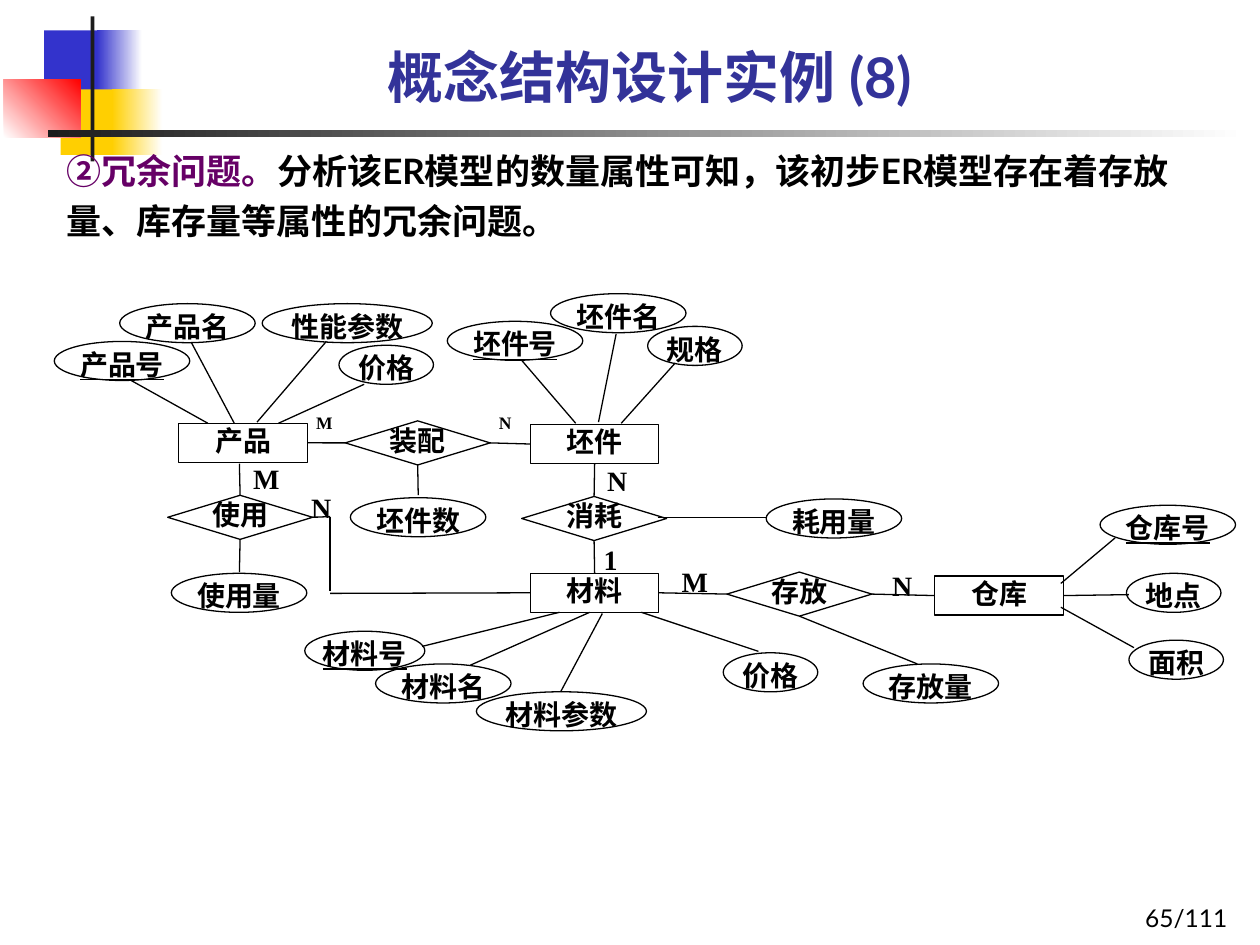
import dataclasses
import typing

import pptx
import pptx.dml.color
import pptx.enum.shapes
import pptx.enum.text
import pptx.oxml
import pptx.util

Pt = pptx.util.Pt
Kind = pptx.enum.shapes.MSO_SHAPE
Align = pptx.enum.text.PP_ALIGN
Anchor = pptx.enum.text.MSO_ANCHOR
TOP, LEFT, BOTTOM, RIGHT = range(4)


# Colours and type sizes
@dataclasses.dataclass(frozen=True)
class Theme:
    ink: str = "000000"
    paper: str = "FFFFFF"
    title: str = "333399"
    accent: str = "660066"
    blue: str = "3333CC"
    gold: str = "FFCF01"
    red: str = "FF0000"
    dark: str = "1C1C1C"
    sans: str = "Lato"
    serif: str = "Times New Roman"
    head: int = 32
    body: int = 20
    node: int = 16
    page: int = 14
    small: int = 10
    line: float = 0.75


THEME = Theme()


class Box(typing.NamedTuple):
    x: float
    y: float
    w: float
    h: float


class Run(typing.NamedTuple):
    text: str
    size: int
    face: str = THEME.serif
    color: str = THEME.ink
    bold: bool = True
    under: typing.Optional[bool] = None


class Bar(typing.NamedTuple):
    box: Box
    start: str
    stop: typing.Optional[str] = None
    angle: int = 0


class Node(typing.NamedTuple):
    text: str
    x: float
    y: float
    key: bool = False
    width: float = 0


class Style(typing.NamedTuple):
    kind: typing.Any
    height: float
    filled: bool
    para: dict


class Label(typing.NamedTuple):
    text: str
    x: float
    y: float
    small: bool = False


class Link(typing.NamedTuple):
    # Each end is a point, or a node name with the side it joins
    start: tuple
    stop: tuple


def tint(value: str):
    return pptx.dml.color.RGBColor.from_string(value)


def apply(target, values: dict) -> None:
    for name, value in values.items():
        setattr(target, name, value)


def write(shape, runs: list, para: dict, frame: dict) -> None:
    text = shape.text_frame
    apply(text, {"word_wrap": True, **frame})
    block = text.paragraphs[0]
    apply(block, para)
    for item in runs:
        run = block.add_run()
        run.text = item.text
        apply(run.font, {"size": Pt(item.size), "name": item.face,
                         "bold": item.bold, "underline": item.under})
        run.font.color.rgb = tint(item.color)


def place(shapes, kind, box: Box):
    shape = shapes.add_shape(kind, *map(Pt, box))
    shape.shadow.inherit = False
    return shape


def draw_text(shapes, box: Box, runs: list, para: dict, frame: dict) -> None:
    write(shapes.add_textbox(*map(Pt, box)), runs, para, frame)


def draw_bar(shapes, bar: Bar) -> None:
    shape = place(shapes, Kind.RECTANGLE, bar.box)
    shape.line.fill.background()
    if bar.stop is None:
        shape.fill.solid()
        shape.fill.fore_color.rgb = tint(bar.start)
        return
    shape.fill.gradient()
    shape.fill.gradient_angle = bar.angle
    for stop, color in zip(shape.fill.gradient_stops, (bar.start, bar.stop)):
        stop.color.rgb = tint(color)


def draw_node(shapes, node: Node, style: Style, width: float):
    shape = place(shapes, style.kind, Box(node.x, node.y, width, style.height))
    if style.filled:
        shape.fill.solid()
        shape.fill.fore_color.rgb = tint(THEME.paper)
    else:
        shape.fill.background()
    shape.line.color.rgb = tint(THEME.ink)
    shape.line.width = Pt(THEME.line)
    run = Run(node.text, THEME.node, under=node.key or None)
    write(shape, [run], {"alignment": Align.CENTER, **style.para}, FLUSH)
    return shape


def draw_link(shapes, link: Link, nodes: dict) -> None:
    ends = [(0, 0) if isinstance(end[0], str) else end for end in link]
    line = shapes.add_connector(pptx.enum.shapes.MSO_CONNECTOR.STRAIGHT,
                                *(Pt(v) for end in ends for v in end))
    for end, join in zip(link, (line.begin_connect, line.end_connect)):
        if isinstance(end[0], str):
            join(nodes[end[0]], end[1])
    line.line.color.rgb = tint(THEME.ink)
    line.line.width = Pt(THEME.line)
    props = line._element.spPr
    props.append(pptx.oxml.parse_xml(
        '<a:effectLst xmlns:a="http://schemas.openxmlformats.org/drawingml/2006/main"/>'))


FLUSH = {"margin_left": 0, "margin_top": 0, "margin_right": 0,
         "margin_bottom": 0, "vertical_anchor": Anchor.TOP}
ENTITY = Style(Kind.RECTANGLE, 22.3, True, {"space_before": Pt(1.5)})
RELATION = Style(Kind.DIAMOND, 25.2, True, {"line_spacing": 0.72})
FIELD = Style(Kind.OVAL, 22.3, False, {})
WIDTHS = {2: 54, 3: 77.4, 4: 97.2}  # oval width by number of characters

BARS = [
    Bar(Box(25.2, 17.3, 34.6, 37.4), THEME.blue),
    Bar(Box(55.4, 17.3, 25.9, 37.4), THEME.blue, THEME.paper),
    Bar(Box(34.6, 51.1, 33.1, 37.4), THEME.gold),
    Bar(Box(64.1, 51.1, 28.8, 37.4), THEME.gold, THEME.paper),
    Bar(Box(2.2, 45.4, 43.9, 33.1), THEME.paper, THEME.red, 45),
    Bar(Box(51.8, 9.4, 2.2, 82.8), THEME.dark),
    Bar(Box(27.4, 74.2, 684.7, 4.3), THEME.dark, THEME.paper),
]
ENTITIES = [Node("产品", 102.2, 241.9), Node("坯件", 303.1, 242.6),
            Node("材料", 303.1, 327.6), Node("仓库", 534.2, 329.2)]
RELATIONS = [Node("装配", 197.3, 240.5), Node("使用", 95.8, 283),
             Node("消耗", 298.1, 283.7), Node("存放", 415.4, 326.9)]
FIELDS = [
    Node("产品号", 31, 195.1, True), Node("产品名", 68.4, 173.5),
    Node("性能参数", 149.8, 173.5), Node("价格", 193.7, 197.3),
    Node("坯件号", 255.6, 183.6, True), Node("坯件名", 314.6, 167.8),
    Node("规格", 370.1, 186.5), Node("坯件数", 200.2, 284.4),
    Node("使用量", 97.9, 327.6), Node("耗用量", 437.8, 285.1),
    Node("材料号", 174.2, 360.7, True, 68.6), Node("材料名", 214.6, 379.4),
    Node("材料参数", 272.2, 395.3), Node("价格", 413.3, 373),
    Node("存放量", 493.2, 379.4), Node("仓库号", 628.6, 288.7, True),
    Node("地点", 643.7, 327.6), Node("面积", 645.1, 365.8),
]
LINKS = [
    # Entities to relations
    Link(("产品", RIGHT), ("装配", LEFT)), Link(("装配", RIGHT), ("坯件", LEFT)),
    Link((136.8, 265), ("使用", TOP)), Link(("坯件", BOTTOM), ("消耗", TOP)),
    Link(("消耗", BOTTOM), ("材料", TOP)), Link(("材料", RIGHT), ("存放", LEFT)),
    Link(("存放", RIGHT), ("仓库", LEFT)), Link(("使用", RIGHT), (188.6, 295.2)),
    Link((188.6, 295.2), (188.6, 337.7)), Link((188.6, 339.1), ("材料", LEFT)),
    # Relations to fields
    Link(("装配", BOTTOM), (239, 283)), Link(("使用", BOTTOM), (136.8, 326.9)),
    Link((375.8, 295.9), (437.8, 295.9)), Link(("存放", BOTTOM), (524.2, 379.4)),
    # Entities to fields
    Link((74.9, 217.4), (118.8, 241.9)), Link((109.4, 195.8), (133.9, 241.9)),
    Link((186.5, 195.1), (146.9, 241.2)), Link((208.1, 219.6), (159.1, 241.9)),
    Link((298.1, 205.9), (329, 241.9)), Link((352.1, 190.8), (342, 241.2)),
    Link((385.9, 207.4), (355, 241.9)), Link((319.7, 349.9), (241.2, 369.4)),
    Link((337, 349.9), (268.6, 380.2)), Link((344.2, 350.6), (320.4, 395.3)),
    Link((366.5, 349.9), (433.4, 372.2)), Link((606.2, 333.4), (637.2, 307.4)),
    Link(("仓库", RIGHT), (645.1, 339.8)), Link((606.2, 347), (648, 370.1)),
]
LABELS = [
    Label("M", 180.7, 237.6, True), Label("N", 285.1, 237.6, True),
    Label("M", 144.7, 263.5), Label("N", 177.8, 280.1), Label("N", 347, 265),
    Label("1", 344.9, 310.3), Label("M", 389.5, 322.6), Label("N", 509.8, 324.7),
]


def main() -> None:
    deck = pptx.Presentation()
    apply(deck, {"slide_width": Pt(720), "slide_height": Pt(540)})
    shapes = deck.slides.add_slide(deck.slide_layouts[6]).shapes

    # Corner ornament and rule
    for bar in BARS:
        draw_bar(shapes, bar)

    # Page number, body and title
    draw_text(shapes, Box(558.7, 500.4, 149.8, 36),
              [Run("65/111", THEME.page, THEME.sans, bold=False)],
              {"alignment": Align.RIGHT}, {"vertical_anchor": Anchor.BOTTOM})
    draw_text(shapes, Box(31, 77, 652.3, 67.7), [
        Run("②冗余问题。", THEME.body, THEME.sans, THEME.accent),
        Run("分析该ER模型的数量属性可知，该初步ER模型存在着存放量、库存量等属性的冗余问题。",
            THEME.body, THEME.sans)], {"line_spacing": 1.2}, {})
    draw_text(shapes, Box(64.8, 3.6, 613.4, 62.6),
              [Run("概念结构设计实例 (8)", THEME.head, THEME.sans, THEME.title)],
              {"alignment": Align.CENTER}, {"vertical_anchor": Anchor.BOTTOM})

    # Diagram
    nodes = {}
    for group, style, width in ((ENTITIES, ENTITY, 73.4), (RELATIONS, RELATION, 82.8)):
        for node in group:
            nodes[node.text] = draw_node(shapes, node, style, width)
    for node in FIELDS:
        draw_node(shapes, node, FIELD, node.width or WIDTHS[len(node.text)])
    for link in LINKS:
        draw_link(shapes, link, nodes)
    for text, x, y, small in LABELS:
        size, w, h, gap = (THEME.small, 19.4, 13, 0.8) if small else (THEME.node, 15.1, 21.6, 1)
        draw_text(shapes, Box(x, y, w, h), [Run(text, size)],
                  {"alignment": Align.JUSTIFY, "line_spacing": gap}, FLUSH)

    deck.save("out.pptx")


if __name__ == "__main__":
    main()
